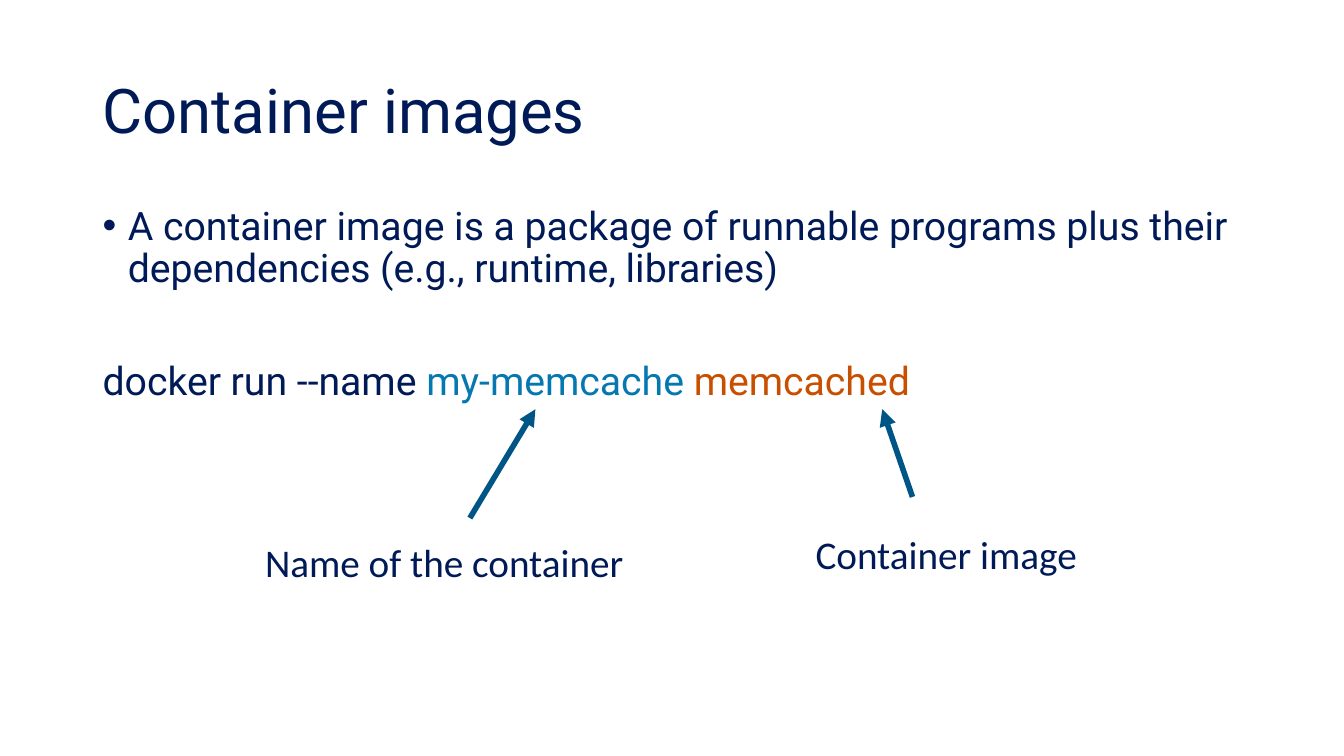
from pptx import Presentation
from pptx.dml.color import RGBColor
from pptx.enum.shapes import MSO_CONNECTOR as Connector
from pptx.enum.text import MSO_ANCHOR as Anchor
from pptx.oxml.ns import qn
from pptx.util import Inches, Pt
from lxml.etree import SubElement

NAVY, BLUE, ORANGE, TEAL = "001A57", "0577B1", "C84E00", "005587"


def color(value):
    return RGBColor.from_string(value)


def apply(target, formats):
    for name, value in formats.items():
        setattr(target, name, value)


def add_box(page, left, top, width, height, **formats):
    box = page.shapes.add_textbox(*map(Inches, (left, top, width, height)))
    apply(box.text_frame, {"word_wrap": True, **formats})
    return box.text_frame


def write(para, spans, font="Roboto", size=28, **formats):
    apply(para, formats)
    for text, shade in spans:
        span = para.add_run()
        span.text = text
        apply(span.font, {"name": font, "size": Pt(size)})
        span.font.color.rgb = color(shade)


def add_bullet(para, indent):
    props = para._p.get_or_add_pPr()
    props.set("marL", str(Inches(indent)))
    props.set("indent", str(-Inches(indent)))
    SubElement(props, qn("a:buFont")).set("typeface", "Arial")
    SubElement(props, qn("a:buChar")).set("char", "•")


def add_label(page, text, *place):
    frame = add_box(page, *place, word_wrap=False)
    write(frame.paragraphs[0], [(text, NAVY)], font="Calibri")


def add_arrow(page, *ends):
    arrow = page.shapes.add_connector(Connector.STRAIGHT, *map(Inches, ends))
    arrow.line.width = Pt(4)
    arrow.line.color.rgb = color(TEAL)
    SubElement(arrow.line._get_or_add_ln(), qn("a:tailEnd")).set("type", "triangle")
    SubElement(arrow._element.spPr, qn("a:effectLst"))


def main():
    deck = Presentation()
    apply(deck, {"slide_width": Inches(13.33), "slide_height": Inches(7.5)})
    page = deck.slides.add_slide(deck.slide_layouts[6])

    title = add_box(page, 0.92, 0.4, 11.5, 1.45, vertical_anchor=Anchor.MIDDLE)
    write(title.paragraphs[0], [("Container images", NAVY)], size=44, line_spacing=0.9)

    body = add_box(page, 0.92, 2, 11.5, 4.76)
    definition = body.paragraphs[0]
    add_bullet(definition, 0.25)
    write(definition, [("A container image is a package of runnable programs plus their "
                        "dependencies (e.g., runtime, libraries)", NAVY)], line_spacing=0.9)
    command = [("docker run --name ", NAVY), ("my-memcache ", BLUE), ("memcached", ORANGE)]
    write(body.add_paragraph(), command, line_spacing=0.9, space_before=Pt(50))

    add_label(page, "Name of the container", 2.53, 5.29, 3.79, 0.57)
    add_label(page, "Container image", 7.99, 5.21, 2.82, 0.57)
    add_arrow(page, 4.66, 5.14, 5.31, 4.06)
    add_arrow(page, 9.05, 4.93, 8.75, 4.06)
    deck.save("out.pptx")


if __name__ == "__main__":
    main()
